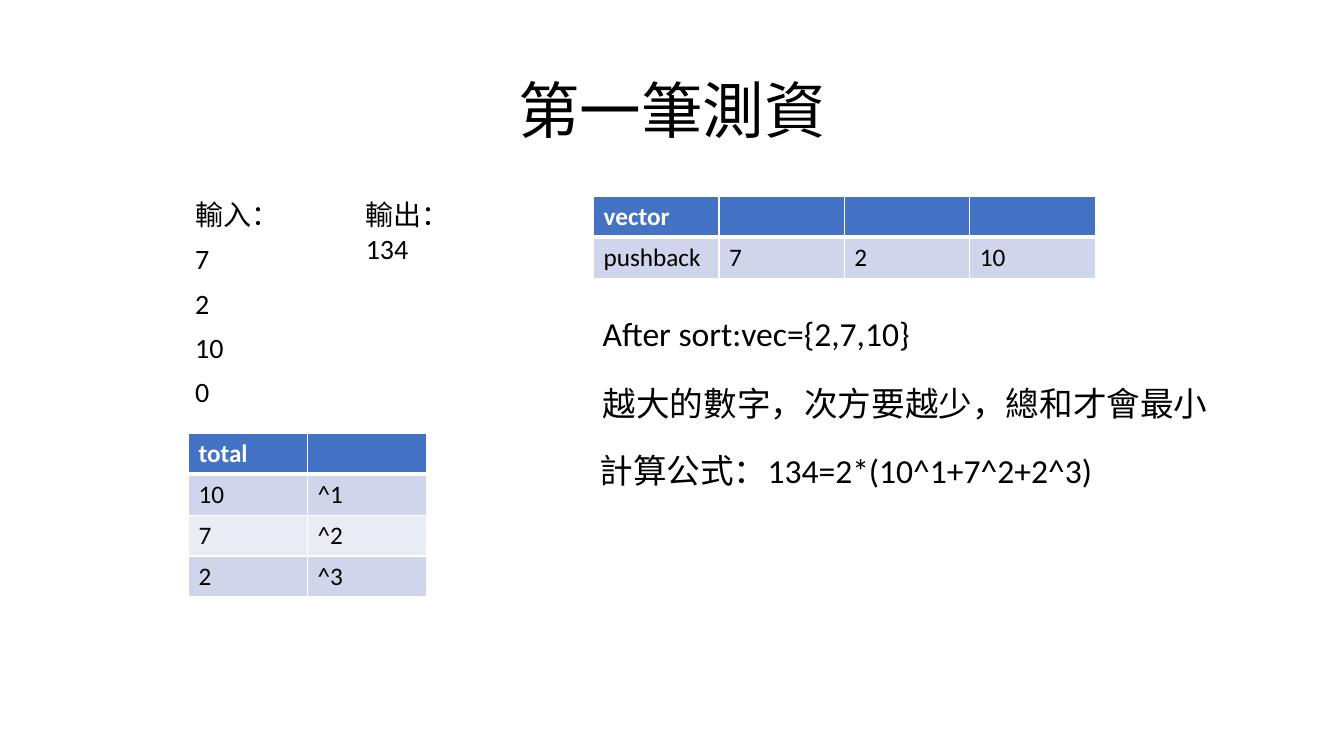
from dataclasses import dataclass

from lxml import etree
from pptx import Presentation
from pptx import util as u
from pptx.dml.color import RGBColor
from pptx.enum import text
from pptx.oxml import ns


@dataclass(frozen=True)
class Theme:
    """Colours, fonts and type sizes of the slide."""
    ink: str = "000000"
    paper: str = "FFFFFF"
    header: str = "4472C4"
    bands: tuple = ("CFD5EA", "E9EBF5")
    latin: str = "Calibri"
    label: str = "Arial"
    title: int = 44
    statement: int = 24
    sample: int = 20
    cell: int = 18


class SlideBuilder:
    """Draws text and tables on one slide in one theme."""

    def __init__(self, slide, theme):
        """Keep the slide and its theme."""
        self.slide = slide
        self.theme = theme

    def run(self, paragraph, content, size, font=None, color=None, bold=False):
        """Add one styled run to a paragraph."""
        run = paragraph.add_run()
        run.text = content
        run.font.size = u.Pt(size)
        run.font.name = font or self.theme.latin
        run.font.bold = bold
        run.font.color.rgb = RGBColor.from_string(color or self.theme.ink)

    def text(self, box, lines, size, first_font=None, spacing=None, before=0,
             align=text.PP_ALIGN.LEFT, anchor=text.MSO_ANCHOR.TOP):
        """Add a text box with one paragraph per line."""
        shape = self.slide.shapes.add_textbox(*map(u.Cm, box))
        frame = shape.text_frame
        frame.word_wrap = True
        frame.vertical_anchor = anchor
        for index, line in enumerate(lines):
            paragraph = frame.add_paragraph() if index else frame.paragraphs[0]
            paragraph.alignment = align
            paragraph.line_spacing = spacing
            paragraph.space_before = u.Pt(before)
            self.run(paragraph, line, size, None if index else first_font)

    def border(self, cell, side, width):
        """Draw one side of a cell border."""
        properties = cell._tc.get_or_add_tcPr()
        line = etree.SubElement(properties, ns.qn(f"a:ln{side}"), w=str(u.Pt(width)))
        fill = etree.SubElement(line, ns.qn("a:solidFill"))
        etree.SubElement(fill, ns.qn("a:srgbClr"), val=self.theme.paper)

    def table(self, left, top, column_width, row_height, rows):
        """Add a table with a header row and banded body rows."""
        theme = self.theme
        count = len(rows[0])
        table = self.slide.shapes.add_table(
            len(rows), count, u.Cm(left), u.Cm(top),
            u.Cm(column_width * count), u.Cm(row_height * len(rows))).table
        for column in table.columns:
            column.width = u.Cm(column_width)
        for row_index, values in enumerate(rows):
            table.rows[row_index].height = u.Cm(row_height)
            is_header = row_index == 0
            fill = theme.header if is_header else theme.bands[(row_index - 1) % 2]
            for column_index, value in enumerate(values):
                cell = table.cell(row_index, column_index)
                for side in "LRTB":
                    thick = (side == "B" and is_header) or (side == "T" and row_index == 1)
                    self.border(cell, side, 3 if thick else 1)
                cell.fill.solid()
                cell.fill.fore_color.rgb = RGBColor.from_string(fill)
                if value:
                    self.run(cell.text_frame.paragraphs[0], value, theme.cell,
                             color=theme.paper if is_header else theme.ink, bold=is_header)


def main():
    """Build the slide and save it."""
    presentation = Presentation()
    presentation.slide_width = u.Cm(33.87)
    presentation.slide_height = u.Cm(19.05)
    slide = presentation.slides.add_slide(presentation.slide_layouts[6])
    theme = Theme()
    builder = SlideBuilder(slide, theme)

    builder.text((2.34, 1.02, 29.21, 3.68), ["第一筆測資"], theme.title, spacing=0.9,
                 align=text.PP_ALIGN.CENTER, anchor=text.MSO_ANCHOR.MIDDLE)
    builder.text((4.67, 4.95, 4.29, 5.72), ["輸入：", "7", "2", "10", "0"], theme.sample,
                 first_font=theme.label, spacing=0.9, before=10)
    builder.text((8.97, 4.85, 4.29, 1.96), ["輸出：", "134"], theme.sample,
                 first_font=theme.label)
    statements = [
        ((14.94, 7.77, 15.57, 1.27), "After sort:vec={2,7,10}"),
        ((14.94, 9.53, 16.21, 1.27), "越大的數字，次方要越少，總和才會最小"),
        ((14.86, 11.2, 14.17, 1.27), "計算公式：134=2*(10^1+7^2+2^3)"),
    ]
    for box, statement in statements:
        builder.text(box, [statement], theme.statement)

    builder.table(14.96, 4.95, 3.16, 1.03,
                  [["vector", "", "", ""], ["pushback", "7", "2", "10"]])
    builder.table(4.75, 10.92, 3, 1.03,
                  [["total", ""], ["10", "^1"], ["7", "^2"], ["2", "^3"]])
    presentation.save("out.pptx")


if __name__ == "__main__":
    main()
